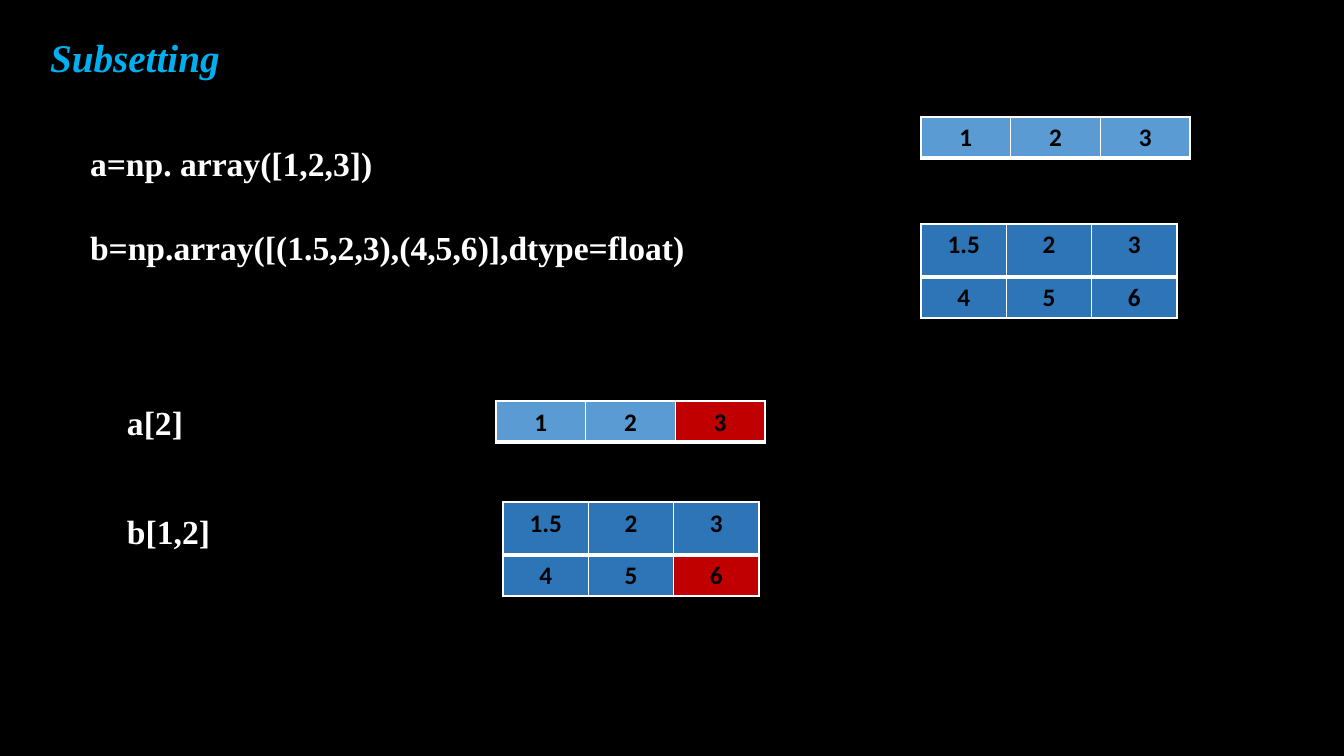
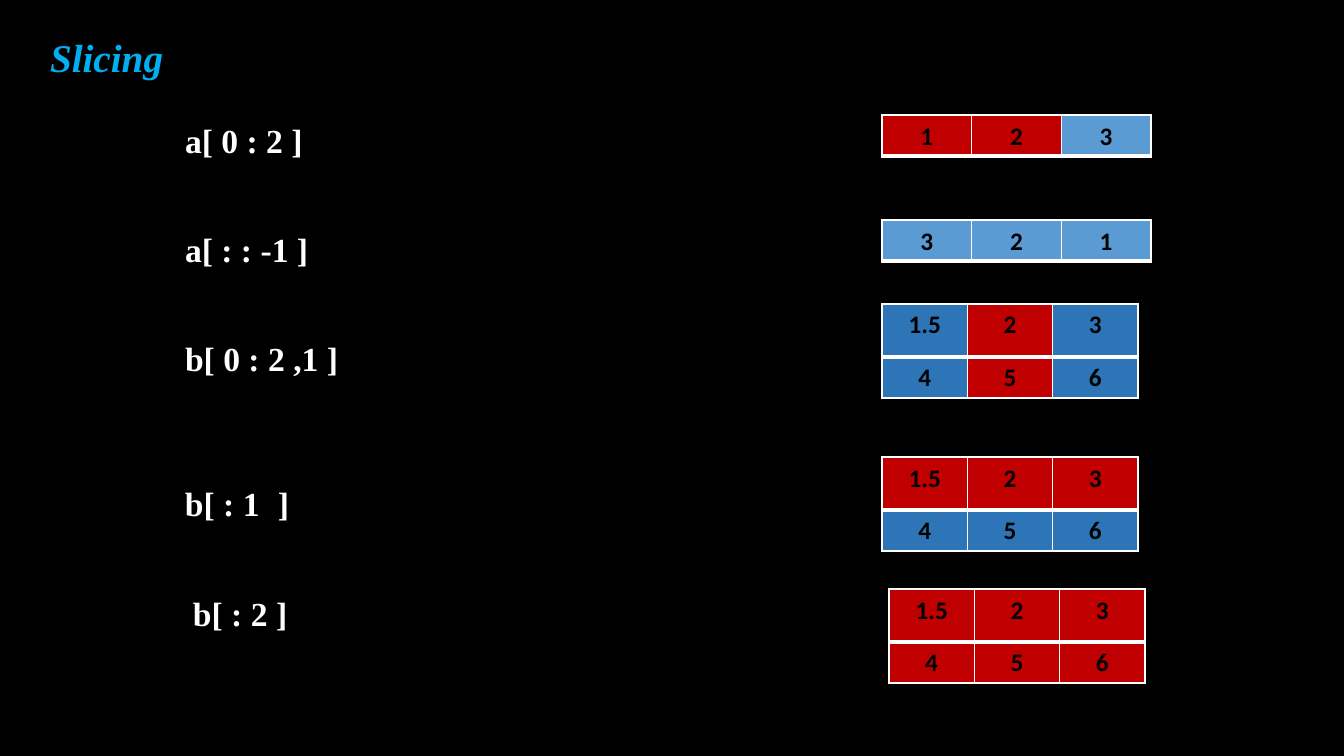
from lxml.etree import SubElement
from pptx import Presentation
from pptx.dml.color import RGBColor
from pptx.enum.text import MSO_ANCHOR, MSO_AUTO_SIZE, PP_ALIGN
from pptx.oxml.ns import qn
from pptx.util import Pt

PX = 12192000 / 1344
BLACK = RGBColor(0x00, 0x00, 0x00)
WHITE = RGBColor(0xFF, 0xFF, 0xFF)
CYAN = RGBColor(0x00, 0xAF, 0xEF)
LIGHT = RGBColor(0x5B, 0x9B, 0xD4)
BLUE = RGBColor(0x2D, 0x75, 0xB6)
RED = RGBColor(0xC0, 0x00, 0x00)
SERIF = "Times New Roman"

ONE = [["1", "2", "3"]]
BACK = [["3", "2", "1"]]
TWO = [["1.5", "2", "3"], ["4", "5", "6"]]
TOP = [(0, 0), (0, 1), (0, 2)]
LOW = [(1, 0), (1, 1), (1, 2)]


def px(*sizes):
    return [round(size * PX) for size in sizes]


def write(para, text, font, size, color, slant=False):
    run = para.add_run()
    run.text = text
    run.font.name = font
    run.font.size = Pt(size)
    run.font.bold = True
    run.font.italic = slant
    run.font.color.rgb = color


pages = [
    ("Subsetting", 172, [
        (89, 141, 598, 124, [
            ("a=np. array([1,2,3])", 0, 0),
            ("b=np.array([(1.5,2,3),(4,5,6)],dtype=float)", 31, 0)]),
        (126, 400, 86, 149, [("a[2]", 0, 0), ("b[1,2]", 49, 0)]),
    ], [
        (921, 117, ONE, []),
        (921, 224, TWO, []),
        (496, 401, ONE, [(0, 2)]),
        (503, 502, TWO, [(1, 2)]),
    ]),
    ("Slicing", 116, [
        (184, 118, 156, 254, [
            ("a[ 0 : 2 ]", 0, 0),
            ("a[ : : -1 ]", 49, 0),
            ("b[ 0 : 2 ,1 ]", 49, 0)]),
        (184, 481, 112, 150, [("b[ : 1\t]", 0, 0), ("b[ : 2 ]", 50, 8)]),
    ], [
        (882, 115, ONE, [(0, 0), (0, 1)]),
        (882, 220, BACK, []),
        (882, 304, TWO, [(0, 1), (1, 1)]),
        (882, 457, TWO, TOP),
        (889, 589, TWO, TOP + LOW),
    ]),
]

deck = Presentation()
deck.slide_width, deck.slide_height = px(1344, 756)
back = deck.slide_master.background.fill
back.solid()
back.fore_color.rgb = BLACK

for name, span, notes, grids in pages:
    slide = deck.slides.add_slide(deck.slide_layouts[5])
    title = slide.shapes.title
    title.left, title.top, title.width, title.height = px(49, 31, span, 49)
    head = title.text_frame.paragraphs[0]
    head.alignment = PP_ALIGN.LEFT
    write(head, name, SERIF, 28, CYAN, True)
    frames = [title.text_frame]

    for left, top, width, height, lines in notes:
        box = slide.shapes.add_textbox(*px(left, top, width, height))
        frame = box.text_frame
        frames.append(frame)
        for row, (text, gap, dent) in enumerate(lines):
            para = frame.add_paragraph() if row else frame.paragraphs[0]
            props = para._p.get_or_add_pPr()
            if "\t" in text:
                tabs = SubElement(props, qn("a:tabLst"))
                SubElement(tabs, qn("a:tab"), pos=str(px(93)[0]), algn="l")
            if dent:
                props.set("marL", str(px(dent)[0]))
            if gap:
                para.space_before = Pt(gap)
            write(para, text, SERIF, 24, WHITE)

    for frame in frames:
        frame.word_wrap = True
        frame.auto_size = MSO_AUTO_SIZE.NONE
        frame.vertical_anchor = MSO_ANCHOR.TOP
        frame.margin_left, frame.margin_top = px(1, 2)
        frame.margin_right = frame.margin_bottom = 0

    for left, top, rows, marks in grids:
        flat = len(rows) == 1
        width, highs = (269, [41]) if flat else (256, [53, 41])
        spot = px(left, top, width, sum(highs))
        table = slide.shapes.add_table(len(rows), 3, *spot).table
        table.first_row = table.horz_banding = False
        for row, texts in enumerate(rows):
            table.rows[row].height = px(highs[row])[0]
            for col, text in enumerate(texts):
                cell = table.cell(row, col)
                cell.margin_left = cell.margin_right = cell.margin_bottom = 0
                cell.margin_top = px(6)[0]
                cell.vertical_anchor = MSO_ANCHOR.TOP
                props = cell._tc.get_or_add_tcPr()
                thick = "B" if row == 0 else "T"
                for side in "LRTB":
                    wide = Pt(3 if side == thick else 1)
                    line = SubElement(props, qn("a:ln" + side), w=str(wide))
                    fill = SubElement(line, qn("a:solidFill"))
                    SubElement(fill, qn("a:srgbClr"), val=str(WHITE))
                cell.fill.solid()
                base = LIGHT if flat else BLUE
                cell.fill.fore_color.rgb = RED if (row, col) in marks else base
                para = cell.text_frame.paragraphs[0]
                para.alignment = PP_ALIGN.CENTER
                write(para, text, "Calibri", 18, BLACK)

deck.save("out.pptx")
